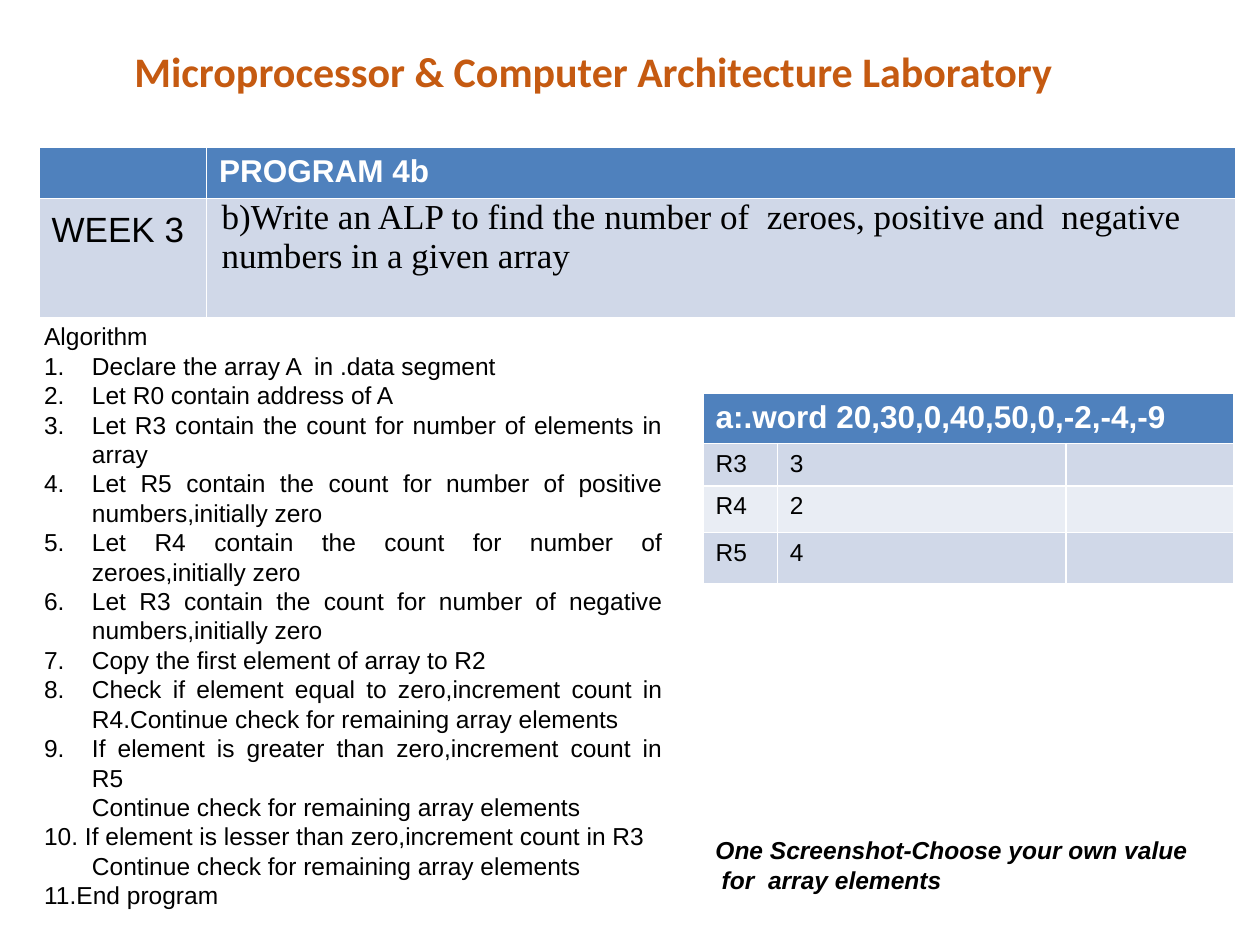
import pptx
import pptx.dml.color
import pptx.enum.text
import pptx.oxml.ns
import pptx.oxml.xmlchemy
import pptx.util
from lxml import etree

Inches, Pt = pptx.util.Inches, pptx.util.Pt
RGBColor = pptx.dml.color.RGBColor
ALIGN = pptx.enum.text.PP_ALIGN
ANCHOR = pptx.enum.text.MSO_ANCHOR
qn = pptx.oxml.ns.qn

ORANGE = RGBColor(0xC5, 0x5A, 0x11)
BLUE = RGBColor(0x4F, 0x81, 0xBD)
BAND_DARK = RGBColor(0xD0, 0xD8, 0xE8)
BAND_LIGHT = RGBColor(0xE9, 0xED, 0xF4)
WHITE = RGBColor(0xFF, 0xFF, 0xFF)
BLACK = RGBColor(0, 0, 0)

# Content
HEADING = "Microprocessor & Computer Architecture Laboratory"
PROGRAM = [
    ["", "PROGRAM 4b"],
    ["WEEK 3", "b)Write an ALP to find the number of  zeroes, positive and  "
               "negative numbers in a given array"],
]
REGISTERS = [
    ["a:.word 20,30,0,40,50,0,-2,-4,-9", "", ""],
    ["R3", "3", ""],
    ["R4", "2", ""],
    ["R5", "4", ""],
]
STEPS = [
    "Declare the array A  in .data segment",
    "Let R0 contain address of A",
    "Let R3 contain the count for number of elements in array",
    "Let R5 contain the count for number of positive numbers,initially zero",
    "Let R4 contain the count for number of zeroes,initially zero",
    "Let R3 contain the count for number of negative numbers,initially zero",
    "Copy the first element of array to R2",
    "Check if element equal to zero,increment count in R4.Continue check for "
    "remaining array elements",
    "If element is greater than zero,increment count in R5",
]
CONTINUE = "Continue check for remaining array elements"
STEP_INDENT = 0.38
# Each line: text, left indent in inches, numbered
ALGORITHM = (
    [("Algorithm", 0, False)]
    + [(step, STEP_INDENT, True) for step in STEPS]
    + [(CONTINUE, STEP_INDENT, False),
       ("10. If element is lesser than zero,increment count in R3", 0, False),
       (CONTINUE, STEP_INDENT, False),
       ("11.End program", 0, False)]
)
NOTE = [("One Screenshot-Choose your own value", 0, False),
        ("for  array elements", 0.05, False)]

# Formats
HEADING_FONT = {"name": "Calibri", "size": Pt(24), "bold": True}
HEADER_FONT = {"name": "Arial", "size": Pt(18), "bold": True}
WEEK_FONT = {"name": "Arial", "size": Pt(20), "bold": False}
TASK_FONT = {**WEEK_FONT, "name": "Times New Roman"}
TEXT_FONT = {"name": "Arial", "size": Pt(14), "bold": False}
NOTE_FONT = {**TEXT_FONT, "bold": True, "italic": True}
FRAME = {"word_wrap": True, "auto_size": pptx.enum.text.MSO_AUTO_SIZE.NONE}


def apply(target, values):
    for name, value in values.items():
        setattr(target, name, value)


def place(shape, left, top, width, height):
    apply(shape, {"left": Inches(left), "top": Inches(top),
                  "width": Inches(width), "height": Inches(height)})


def write(paragraph, text, font, color):
    run = paragraph.add_run()
    run.text = text
    apply(run.font, font)
    run.font.color.rgb = color


def write_lines(frame, lines, font):
    apply(frame, {**FRAME, "vertical_anchor": ANCHOR.TOP})
    for i, (text, indent, numbered) in enumerate(lines):
        paragraph = frame.add_paragraph() if i else frame.paragraphs[0]
        apply(paragraph, {"alignment": ALIGN.JUSTIFY,
                          "space_before": Pt(0), "space_after": Pt(0)})
        props = paragraph._p.get_or_add_pPr()
        props.set("marL", str(Inches(indent)))
        props.set("indent", str(Inches(-indent if numbered else 0)))
        if numbered:
            etree.SubElement(props, qn("a:buFont"), typeface="+mj-lt")
            etree.SubElement(props, qn("a:buAutoNum"), type="arabicPeriod")
        else:
            etree.SubElement(props, qn("a:buNone"))
        write(paragraph, text, font, BLACK)


def add_table(rows, left, top, widths, heights, font_for):
    table = slide.shapes.add_table(
        len(rows), len(widths), Inches(left), Inches(top),
        Inches(sum(widths)), Inches(sum(heights))).table
    for column, width in zip(table.columns, widths):
        column.width = Inches(width)
    for r, row in enumerate(rows):
        table.rows[r].height = Inches(heights[r])
        for c, text in enumerate(row):
            cell = table.cell(r, c)
            cell.fill.solid()
            cell.fill.fore_color.rgb = (
                BLUE if r == 0 else BAND_DARK if r % 2 else BAND_LIGHT)
            font = font_for(r, c)
            paragraph = cell.text_frame.paragraphs[0]
            if text:
                write(paragraph, text, font, BLACK if r else WHITE)
            else:  # keeps an empty cell from stretching its row
                etree.SubElement(paragraph._p, qn("a:endParaRPr"),
                                 sz=str(int(font["size"].pt * 100)))
    return table


deck = pptx.Presentation()
apply(deck, {"slide_width": Inches(10), "slide_height": Inches(7.5)})
slide = deck.slides.add_slide(deck.slide_layouts[1])
heading, algorithm = slide.placeholders

# Heading
place(heading, 0.25, 0.31, 8.92, 0.5)
apply(heading.text_frame, {**FRAME, "vertical_anchor": ANCHOR.MIDDLE})
heading.text_frame.paragraphs[0].alignment = ALIGN.CENTER
write(heading.text_frame.paragraphs[0], HEADING, HEADING_FONT, ORANGE)

# Program table
program = add_table(
    PROGRAM, 0.31, 1.17, [1.33, 8.17], [0.39, 0.95],
    lambda r, c: HEADER_FONT if r == 0 else TASK_FONT if c else WEEK_FONT)
apply(program.cell(1, 0).text_frame.paragraphs[0],
      {"alignment": ALIGN.JUSTIFY, "line_spacing": 1.15})
apply(program.cell(1, 1), {"margin_left": Inches(0.12), "margin_top": 0,
                           "margin_right": Inches(0.12), "margin_bottom": 0})

# Register table
registers = add_table(
    REGISTERS, 5.58, 3.12, [0.59, 2.29, 1.33], [0.4, 0.33, 0.37, 0.41],
    lambda r, c: TEXT_FONT if r else HEADER_FONT)
registers.cell(0, 0).merge(registers.cell(0, 2))

# Algorithm
place(algorithm, 0.25, 2.5, 5.11, 5.76)
write_lines(algorithm.text_frame, ALGORITHM, TEXT_FONT)

# Note
note = slide.shapes.add_textbox(Inches(5.58), Inches(6.58), Inches(5), Inches(0.57))
write_lines(note.text_frame, NOTE, NOTE_FONT)

deck.save("out.pptx")
